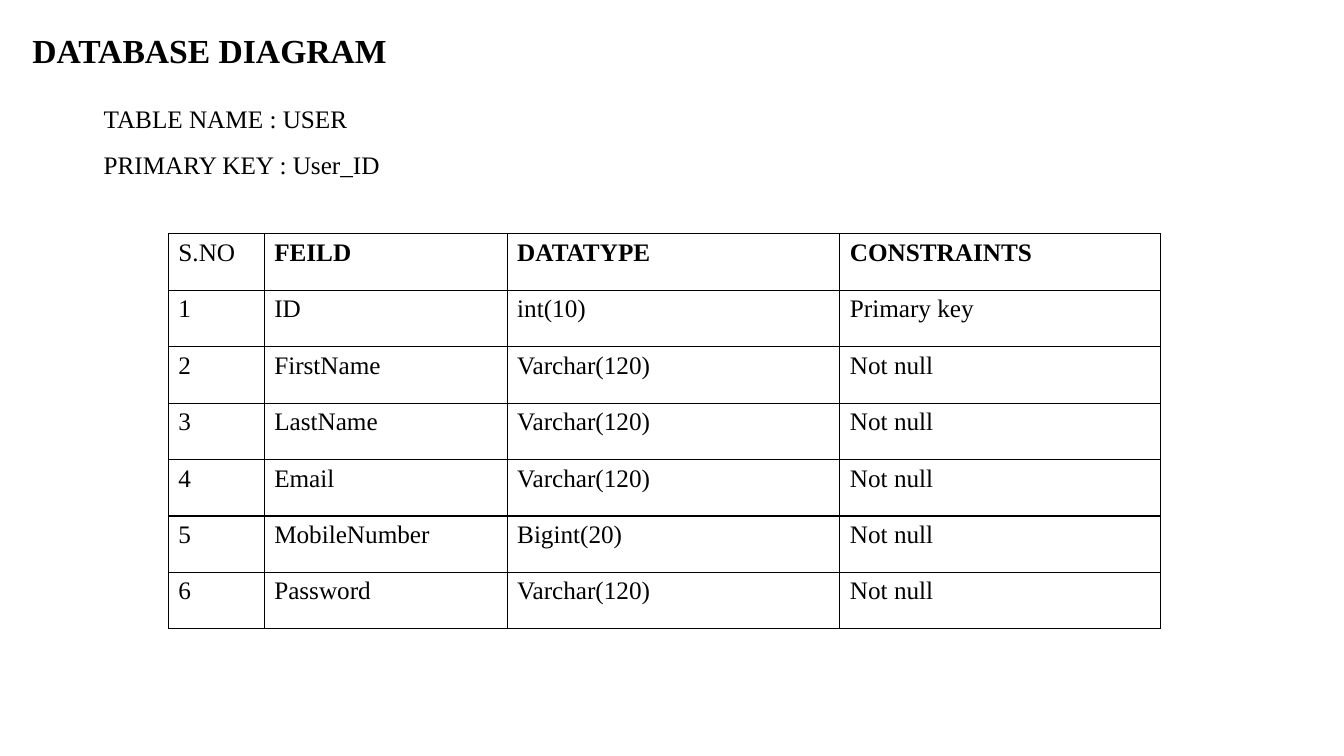
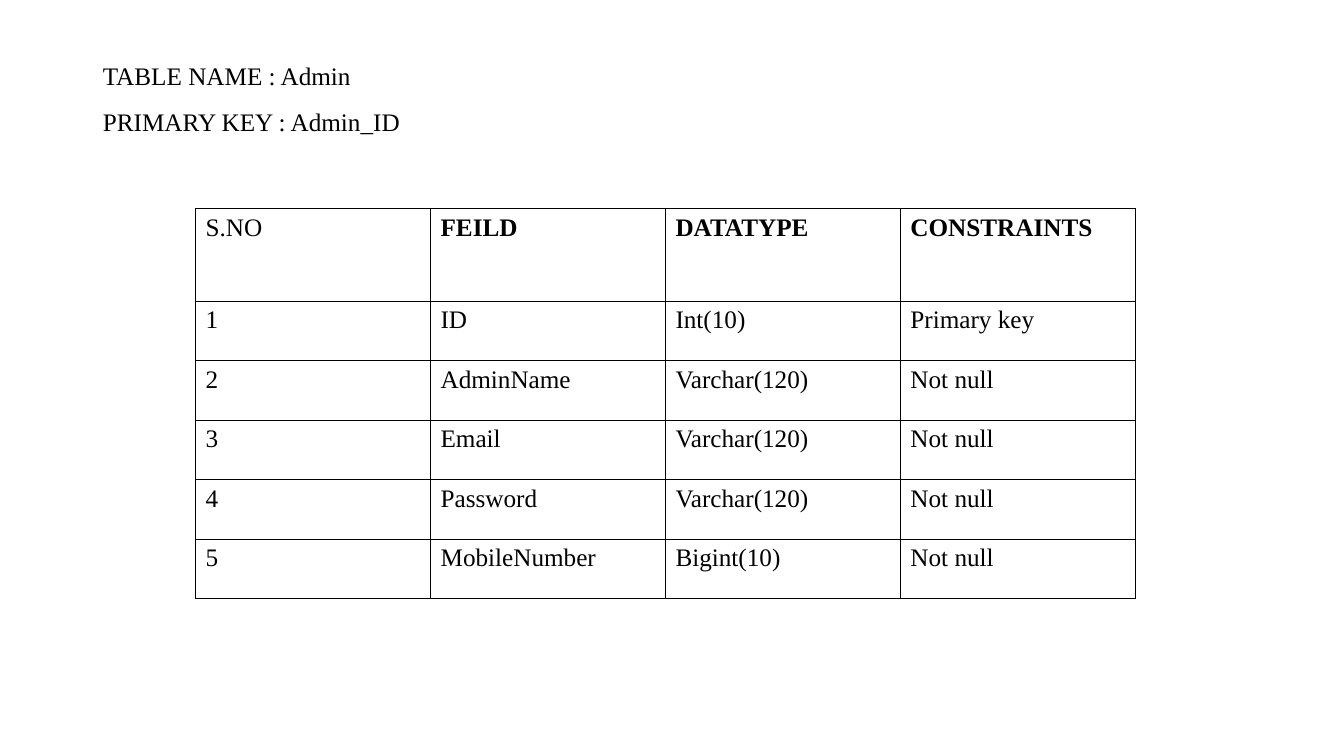
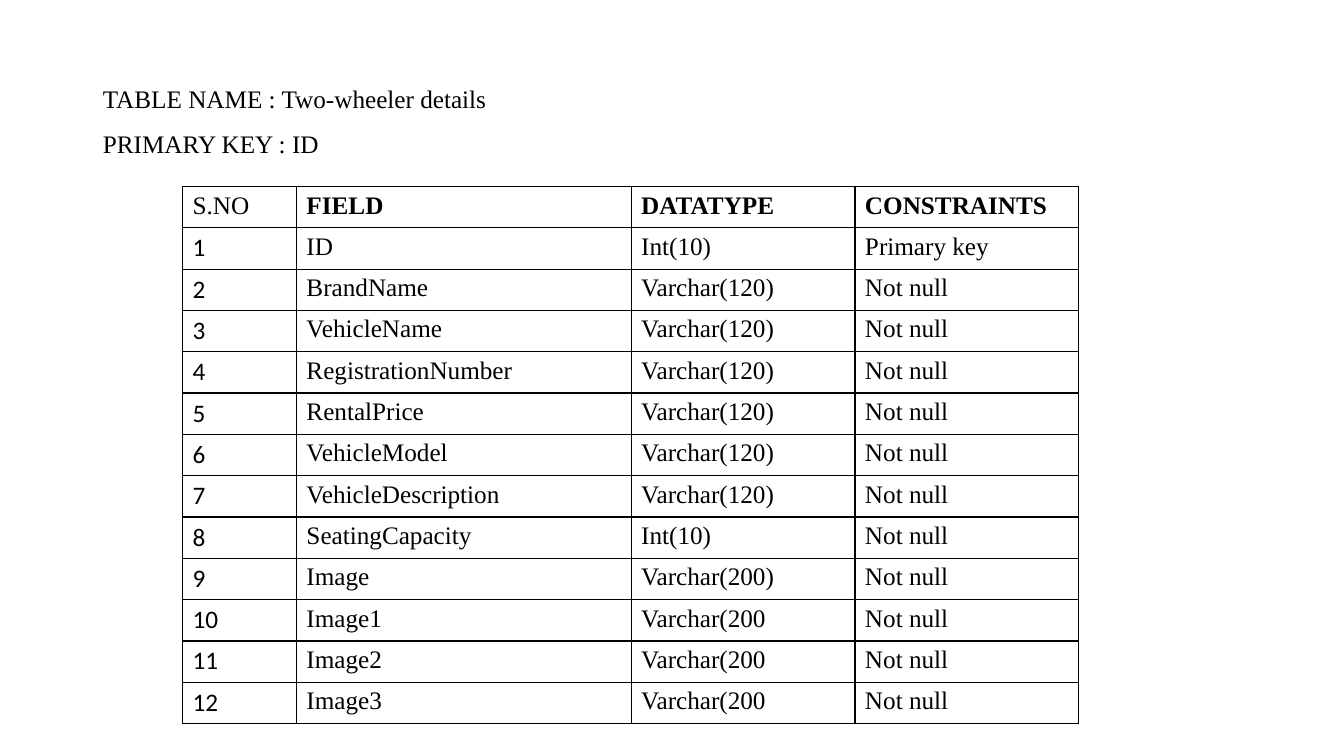
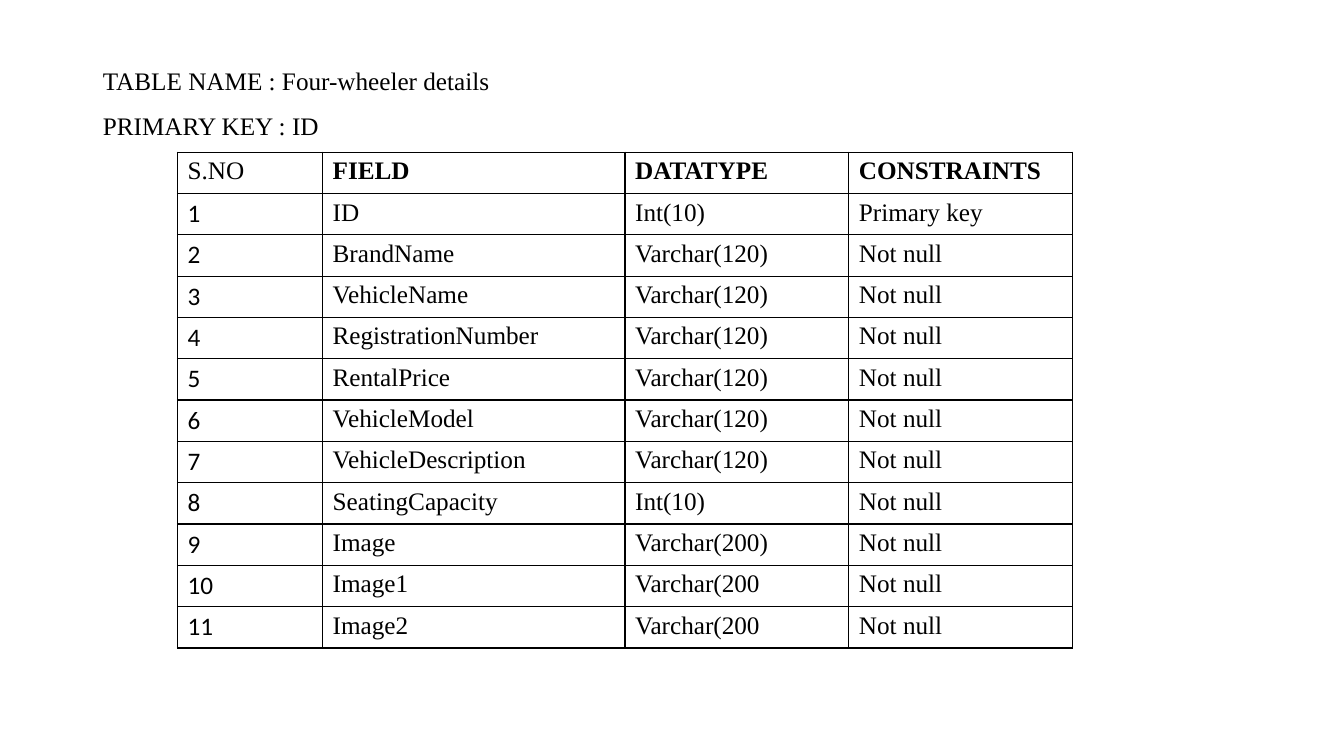
from lxml import etree
from pptx import Presentation
from pptx.dml.color import RGBColor
from pptx.enum.text import MSO_ANCHOR, MSO_AUTO_SIZE, PP_ALIGN
from pptx.oxml.ns import qn
from pptx.util import Inches, Pt

BLACK = RGBColor(0x00, 0x00, 0x00)
WHITE = RGBColor(0xFF, 0xFF, 0xFF)
SERIF = "Times New Roman"
SANS = "Calibri"
TITLE_ONLY = 5
TITLE_WIDTH, TITLE_HEIGHT = 11.5, 1.45

USER_FIELDS = [
    ("ID", "int(10)"),
    ("FirstName", "Varchar(120)"),
    ("LastName", "Varchar(120)"),
    ("Email", "Varchar(120)"),
    ("MobileNumber", "Bigint(20)"),
    ("Password", "Varchar(120)"),
]
ADMIN_FIELDS = [
    ("ID", "Int(10)"),
    ("AdminName", "Varchar(120)"),
    ("Email", "Varchar(120)"),
    ("Password", "Varchar(120)"),
    ("MobileNumber", "Bigint(10)"),
]
FOUR_WHEELER_FIELDS = [
    ("ID", "Int(10)"),
    ("BrandName", "Varchar(120)"),
    ("VehicleName", "Varchar(120)"),
    ("RegistrationNumber", "Varchar(120)"),
    ("RentalPrice", "Varchar(120)"),
    ("VehicleModel", "Varchar(120)"),
    ("VehicleDescription", "Varchar(120)"),
    ("SeatingCapacity", "Int(10)"),
    ("Image", "Varchar(200)"),
    ("Image1", "Varchar(200"),
    ("Image2", "Varchar(200"),
]
TWO_WHEELER_FIELDS = FOUR_WHEELER_FIELDS + [("Image3", "Varchar(200")]


def style(paragraph, size=18, bold=False, font=SERIF, spacing=None):
    paragraph.alignment = PP_ALIGN.LEFT
    if spacing:
        paragraph.line_spacing = spacing
    paragraph.font.name = font
    paragraph.font.size = Pt(size)
    paragraph.font.bold = bold
    paragraph.font.color.rgb = BLACK


def add_titled_slide(prs, text, left, top, anchor=MSO_ANCHOR.MIDDLE, **text_style):
    slide = prs.slides.add_slide(prs.slide_layouts[TITLE_ONLY])
    title = slide.shapes.title
    title.left, title.top = Inches(left), Inches(top)
    title.width, title.height = Inches(TITLE_WIDTH), Inches(TITLE_HEIGHT)
    frame = title.text_frame
    frame.text = text
    frame.auto_size = MSO_AUTO_SIZE.NONE
    frame.vertical_anchor = anchor
    style(frame.paragraphs[0], **text_style)
    return slide


def add_caption(slide, lines, left, top, width, height):
    caption = slide.shapes.add_textbox(
        Inches(left), Inches(top), Inches(width), Inches(height))
    frame = caption.text_frame
    frame.word_wrap = True
    frame.text = "\n".join(lines)
    for paragraph in frame.paragraphs:
        style(paragraph, spacing=1.5)


def add_borders(cell, width=Pt(1)):
    properties = cell._tc.get_or_add_tcPr()
    for side in ("a:lnL", "a:lnR", "a:lnT", "a:lnB"):
        line = etree.SubElement(properties, qn(side), w=str(width))
        fill = etree.SubElement(line, qn("a:solidFill"))
        etree.SubElement(fill, qn("a:srgbClr"), val=str(BLACK))


def add_field_table(slide, fields, left, top, widths, row_height,
                    header_height=None, field_label="FIELD", number_font=SERIF):
    """Number the fields and list them; the first one is the primary key."""
    rows = [("S.NO", field_label, "DATATYPE", "CONSTRAINTS")]
    for number, (field, datatype) in enumerate(fields, 1):
        constraint = "Primary key" if number == 1 else "Not null"
        rows.append((str(number), field, datatype, constraint))
    heights = [header_height or row_height] + [row_height] * len(fields)

    table = slide.shapes.add_table(
        len(rows), len(widths), Inches(left), Inches(top),
        Inches(sum(widths)), Inches(sum(heights))).table
    table.first_row = table.horz_banding = False
    for column, width in zip(table.columns, widths):
        column.width = Inches(width)
    for r, (values, height) in enumerate(zip(rows, heights)):
        table.rows[r].height = Inches(height)
        for c, value in enumerate(values):
            cell = table.cell(r, c)
            cell.text = value
            add_borders(cell)
            cell.fill.solid()
            cell.fill.fore_color.rgb = WHITE
            style(cell.text_frame.paragraphs[0],
                  bold=r == 0 and c > 0,
                  font=number_font if r > 0 and c == 0 else SERIF)


def caption_lines(table_name, key):
    return [f"TABLE NAME : {table_name}", f"PRIMARY KEY : {key}"]


def add_captioned_slide(prs, table_name, key, top, anchor=MSO_ANCHOR.MIDDLE):
    """Add a slide whose title names the table and its key on two lines."""
    text = "\v".join(caption_lines(table_name, key))
    return add_titled_slide(prs, text, 0.92, top, anchor, spacing=1.5)


def main():
    prs = Presentation()
    prs.slide_width, prs.slide_height = Inches(13.33), Inches(7.5)

    user = add_titled_slide(prs, "DATABASE DIAGRAM", 0.22, -0.2,
                            size=24, bold=True, spacing=0.9)
    add_caption(user, caption_lines("USER", "User_ID"), 0.93, 0.83, 4.33, 0.96)
    add_field_table(user, USER_FIELDS, 1.67, 2.32, [0.95, 2.41, 3.3, 3.18],
                    row_height=0.56, field_label="FEILD")

    admin = add_captioned_slide(prs, "Admin", "Admin_ID", 0.4, MSO_ANCHOR.TOP)
    add_field_table(admin, ADMIN_FIELDS, 1.94, 2.07, [2.33] * 4,
                    row_height=0.59, header_height=0.92, field_label="FEILD")

    two_wheeler = add_captioned_slide(prs, "Two-wheeler details", "ID", 0.4)
    add_field_table(two_wheeler, TWO_WHEELER_FIELDS, 1.81, 1.85,
                    [1.13, 3.32, 2.22, 2.22], row_height=0.41, number_font=SANS)

    four_wheeler = add_captioned_slide(prs, "Four-wheeler details", "ID", 0.22)
    add_field_table(four_wheeler, FOUR_WHEELER_FIELDS, 1.76, 1.51,
                    [1.44, 3, 2.22, 2.22], row_height=0.41, number_font=SANS)

    prs.save("out.pptx")


if __name__ == "__main__":
    main()
